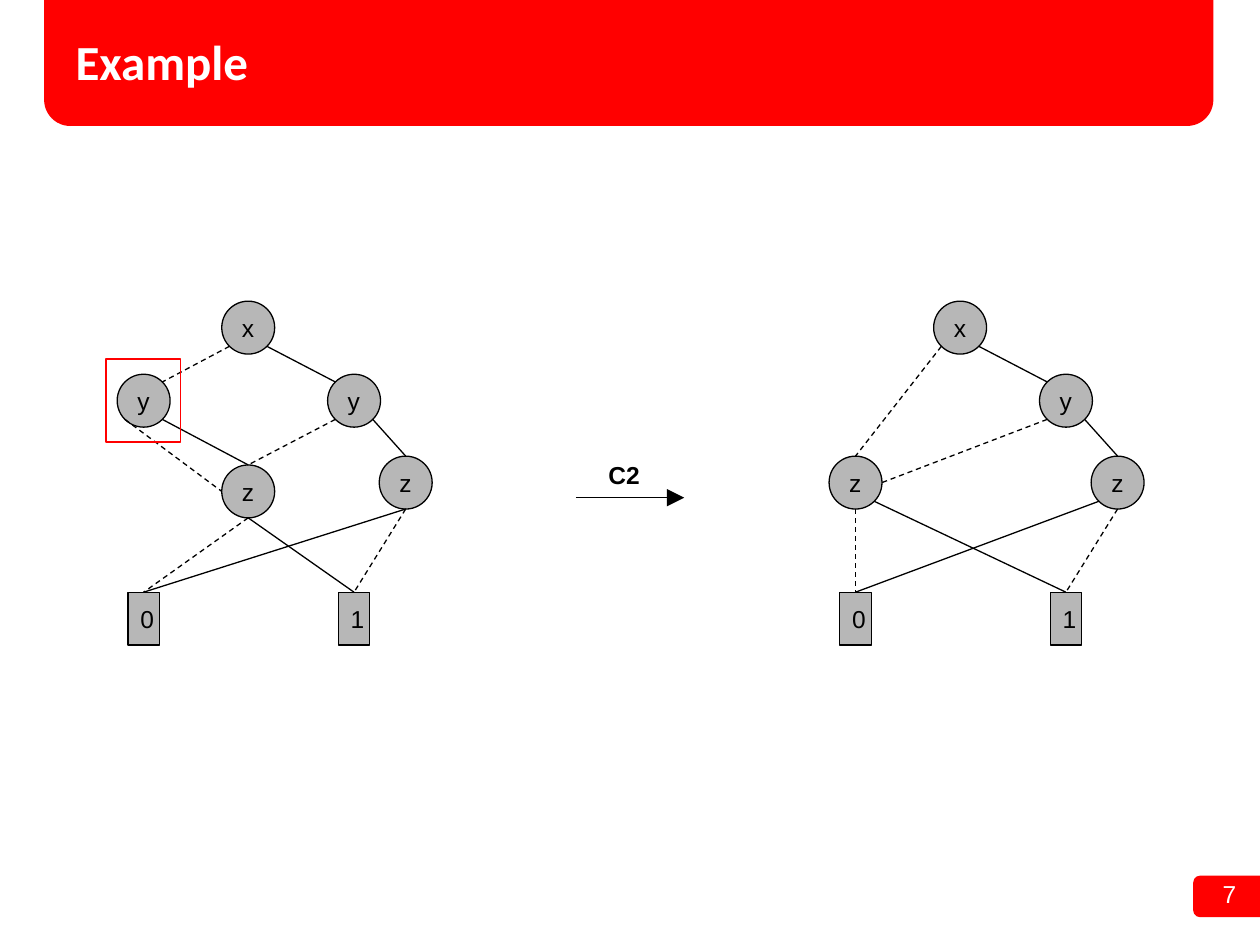
from dataclasses import dataclass
from math import sqrt

from lxml.etree import SubElement
from pptx import Presentation
from pptx.dml.color import RGBColor
from pptx.enum.dml import MSO_LINE
from pptx.enum.shapes import MSO_CONNECTOR, MSO_SHAPE
from pptx.enum.text import MSO_ANCHOR, PP_ALIGN
from pptx.oxml.ns import qn
from pptx.util import Inches, Pt


@dataclass(frozen=True)
class Theme:
    red: RGBColor = RGBColor(0xFF, 0x00, 0x00)
    white: RGBColor = RGBColor(0xFF, 0xFF, 0xFF)
    black: RGBColor = RGBColor(0x00, 0x00, 0x00)
    gray: RGBColor = RGBColor(0xB7, 0xB7, 0xB7)
    title_size: int = 28
    text_size: int = 14
    line_width: float = 0.75


theme = Theme()


def write_text(shape, text, font="Arial", size=theme.text_size, color=theme.black,
               bold=False, align=PP_ALIGN.LEFT, anchor=MSO_ANCHOR.MIDDLE, inset=0.1):
    frame = shape.text_frame
    frame.word_wrap = True
    frame.vertical_anchor = anchor
    frame.margin_left = frame.margin_right = Inches(0.1)
    frame.margin_top = frame.margin_bottom = Inches(inset)
    para = frame.paragraphs[0]
    para.alignment = align
    span = para.add_run()
    span.text = text
    span.font.name = font
    span.font.size = Pt(size)
    span.font.bold = bold
    span.font.color.rgb = color


def draw_line(page, start, end, dashed=False):
    line = page.shapes.add_connector(
        MSO_CONNECTOR.STRAIGHT, *[Inches(value) for value in (*start, *end)])
    line.line.color.rgb = theme.black
    line.line.width = Pt(theme.line_width)
    if dashed:
        line.line.dash_style = MSO_LINE.DASH
    SubElement(line._element.spPr, qn("a:effectLst"))
    return line


deck = Presentation()
deck.slide_width, deck.slide_height = Inches(10), Inches(7.5)
page = deck.slides.add_slide(deck.slide_layouts[5])

# Red title band and page number tab, both bleeding off the page edge
for left, top, width, height in [(9.47, 6.95, 0.7, 0.33), (0.35, -0.25, 9.28, 1.25)]:
    band = page.shapes.add_shape(MSO_SHAPE.ROUNDED_RECTANGLE, Inches(left), Inches(top),
                                 Inches(width), Inches(height))
    band.shadow.inherit = False
    band.fill.solid()
    band.fill.fore_color.rgb = theme.red
    band.line.fill.background()

number = page.shapes.add_textbox(Inches(9.08), Inches(6.93), Inches(0.83), Inches(0.34))
write_text(number, "7", color=theme.white, align=PP_ALIGN.RIGHT,
           anchor=MSO_ANCHOR.TOP, inset=0.05)

# Title, brought in front of the band
title = page.shapes.title
title.left, title.top = Inches(0.5), Inches(0.28)
title.width, title.height = Inches(8.95), Inches(0.4)
write_text(title, "Example", font="Calibri", size=theme.title_size,
           color=theme.white, bold=True, inset=0.05)
title._element.getparent().append(title._element)

# Decision diagrams: node centres relative to each diagram's left edge
node_size, leaf_width = 0.42, 0.25
radius = node_size / 2
diagonal = radius / sqrt(2)
sides = {
    "top": (0, -radius), "bottom": (0, radius),
    "left": (-radius, 0), "right": (radius, 0),
    "top left": (-diagonal, -diagonal), "top right": (diagonal, -diagonal),
    "bottom left": (-diagonal, diagonal), "bottom right": (diagonal, diagonal),
}
shared_nodes = {
    "x": ("x", 1.13, 2.6), "y high": ("y", 1.97, 3.18), "z high": ("z", 2.38, 3.83),
    "1": ("1", 1.97, 4.91), "0": ("0", 0.3, 4.91),
}
shared_edges = [  # from node, side, to node, side, dashed
    ("x", "bottom right", "y high", "top left", False),
    ("y high", "bottom right", "z high", "top", False),
    ("z high", "bottom", "1", "top", True),
]
diagrams = [
    (0.84,
     {"y low": ("y", 0.3, 3.18), "z low": ("z", 1.13, 3.9)},
     [("x", "bottom left", "y low", "top right", True),
      ("y low", "bottom left", "z low", "left", True),
      ("y low", "bottom right", "z low", "top", False),
      ("z low", "bottom", "0", "top", True),
      ("z low", "bottom", "1", "top", False),
      ("y high", "bottom left", "z low", "top", True),
      ("z high", "bottom", "0", "top", False)]),
    (6.49,
     {"z low": ("z", 0.3, 3.83)},
     [("x", "bottom left", "z low", "top", True),
      ("z low", "bottom", "0", "top", True),
      ("z low", "bottom right", "1", "top", False),
      ("y high", "bottom left", "z low", "right", True),
      ("z high", "bottom left", "0", "top", False)]),
]

for offset, extra_nodes, extra_edges in diagrams:
    nodes = shared_nodes | extra_nodes
    for label, x, y in nodes.values():
        is_leaf = label in "01"
        kind = MSO_SHAPE.FLOWCHART_PROCESS if is_leaf else MSO_SHAPE.FLOWCHART_CONNECTOR
        width = leaf_width if is_leaf else node_size
        node = page.shapes.add_shape(kind, Inches(offset + x - width / 2), Inches(y - radius),
                                     Inches(width), Inches(node_size))
        node.shadow.inherit = False
        node.fill.solid()
        node.fill.fore_color.rgb = theme.gray
        node.line.color.rgb = theme.black
        node.line.width = Pt(theme.line_width)
        write_text(node, label)

    for source, source_side, target, target_side, dashed in shared_edges + extra_edges:
        start, end = [
            (offset + nodes[name][1] + sides[side][0], nodes[name][2] + sides[side][1])
            for name, side in ((source, source_side), (target, target_side))]
        draw_line(page, start, end, dashed)

# Reduction step arrow and its label
arrow = draw_line(page, (4.57, 3.95), (5.43, 3.95))
SubElement(arrow.line._get_or_add_ln(), qn("a:tailEnd"), type="triangle", w="lg", len="lg")
step = page.shapes.add_textbox(Inches(4.73), Inches(3.55), Inches(0.54), Inches(0.22))
write_text(step, "C2", bold=True, anchor=MSO_ANCHOR.TOP)

# Frame marking the redundant node
frame = page.shapes.add_shape(MSO_SHAPE.RECTANGLE, Inches(0.84), Inches(2.85),
                              Inches(0.59), Inches(0.66))
frame.shadow.inherit = False
frame.fill.background()
frame.line.color.rgb = theme.red
frame.line.width = Pt(theme.line_width)

deck.save("out.pptx")
